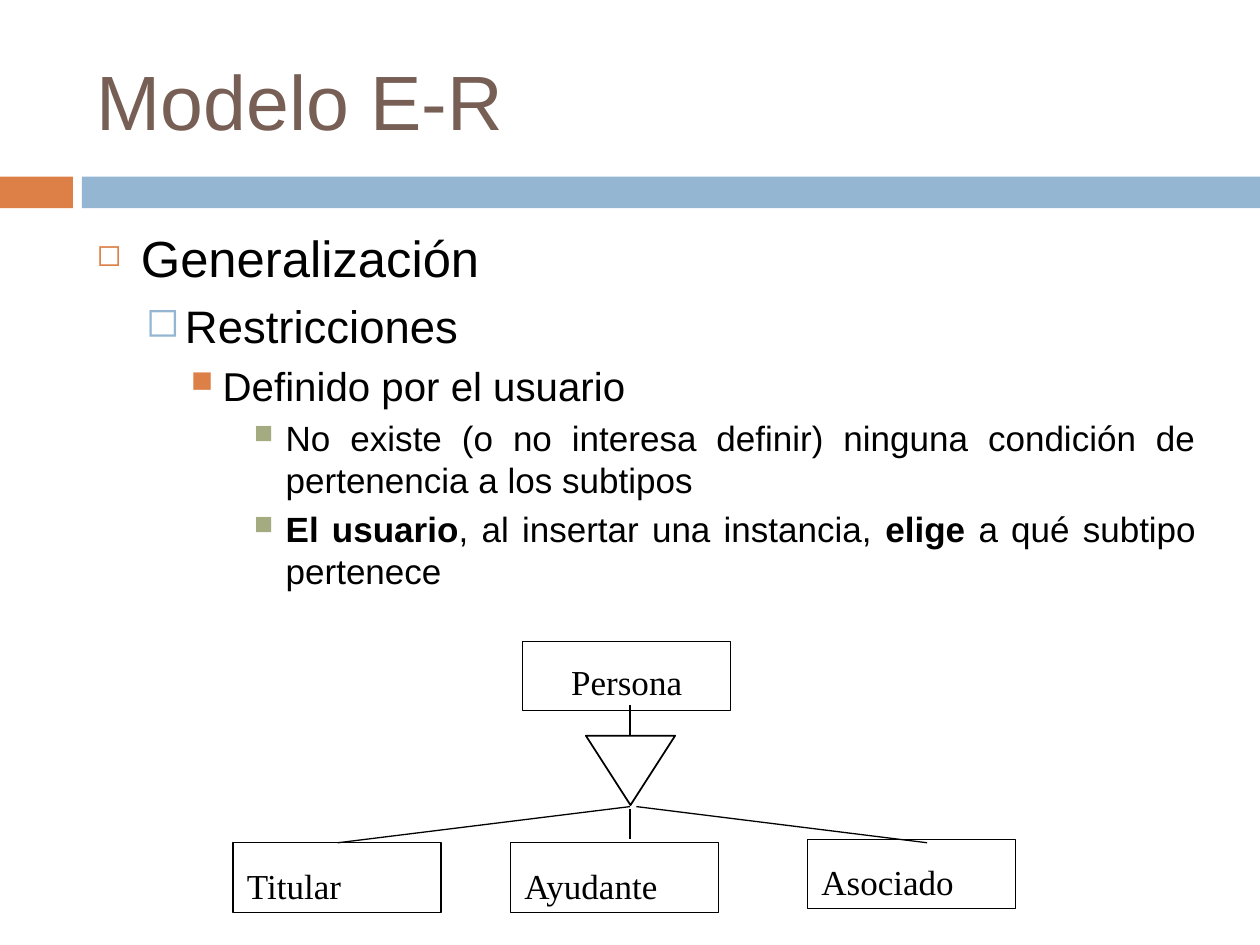
from lxml import etree
from pptx import Presentation
from pptx import util as u
from pptx.dml.color import RGBColor
from pptx.enum import shapes, text
from pptx.oxml.ns import qn

Cm, Pt = u.Cm, u.Pt
COLORS = {"title": "775F55", "orange": "DD8047", "blue": "94B6D2",
          "green": "A5AB81", "black": "000000"}

# Content
TITLE = "Modelo E-R"
# level: size, space before, left margin, hanging indent, bullet, colour, bullet %
LEVELS = [
    (29, 0, 0.89, 0.89, "◻", "orange", 60),
    (26, 5.5, 1.78, 0.79, "◻", "blue", 90),
    (23, 5, 2.54, 0.64, "■", "orange", 75),
    (20, 4, 3.81, 0.64, "■", "green", 75),
]
# level, runs as (text, bold)
OUTLINE = [
    (0, [("Generalización", False)]),
    (1, [("Restricciones", False)]),
    (2, [("Definido por el usuario", False)]),
    (3, [("No existe (o no interesa definir) ninguna condición de "
          "pertenencia a los subtipos", False)]),
    (3, [("El usuario", True), (", al insertar una instancia, ", False),
         ("elige ", True), ("a qué subtipo pertenece", False)]),
]
BARS = [(0, 1.47, "orange"), (1.65, 23.75, "blue")]  # left, width, colour
ENTITY_W, ENTITY_H = 4.19, 1.4
# name, left, top, label offset, label width, alignment
ENTITIES = [
    ("Persona", 10.54, 12.93, 0.23, ENTITY_W, text.PP_ALIGN.CENTER),
    ("Titular", 4.7, 16.99, 0.28, 4.42, text.PP_ALIGN.LEFT),
    ("Ayudante", 10.29, 16.99, 0.28, 4.42, text.PP_ALIGN.LEFT),
    ("Asociado", 16.28, 16.92, 0.28, 4.42, text.PP_ALIGN.LEFT),
]
AXIS = 12.7
LINKS = [
    (AXIS, 16.26, 6.81, 16.99),
    (12.83, 16.26, 18.69, 16.99),
    (AXIS, 14.22, AXIS, 14.83),
    (AXIS, 16.31, AXIS, 16.92),
]

prs = Presentation()
prs.slide_width, prs.slide_height = Cm(25.4), Cm(19.05)
slide = prs.slides.add_slide(prs.slide_layouts[6])


def rgb(name):
    return RGBColor.from_string(COLORS[name])


def add_box(kind, left, top, width, height, fill=None, line=None):
    box = slide.shapes.add_shape(kind, Cm(left), Cm(top), Cm(width), Cm(height))
    box.shadow.inherit = False
    if fill:
        box.fill.solid()
        box.fill.fore_color.rgb = rgb(fill)
    else:
        box.fill.background()
    if line:
        box.line.color.rgb = rgb("black")
        box.line.width = Pt(line)
    else:
        box.line.fill.background()
    return box


def add_frame(left, top, width, height, inset_x=0.25, inset_y=0.13):
    frame = slide.shapes.add_textbox(Cm(left), Cm(top), Cm(width), Cm(height)).text_frame
    frame.word_wrap = True
    frame.margin_left = frame.margin_right = Cm(inset_x)
    frame.margin_top = frame.margin_bottom = Cm(inset_y)
    return frame


def style(run, size, font="Arial", color="black", bold=False):
    run.font.size, run.font.name, run.font.bold = Pt(size), font, bold
    run.font.color.rgb = rgb(color)


def set_bullet(paragraph, margin, hanging, char, color, percent):
    props = paragraph._p.get_or_add_pPr()
    props.set("marL", str(Cm(margin)))
    props.set("indent", str(-Cm(hanging)))
    bullet_color = etree.SubElement(props, qn("a:buClr"))
    etree.SubElement(bullet_color, qn("a:srgbClr"), val=COLORS[color])
    etree.SubElement(props, qn("a:buSzPct"), val=str(percent * 1000))
    etree.SubElement(props, qn("a:buChar"), char=char)


# Header bars and title
for left, width, color in BARS:
    add_box(shapes.MSO_SHAPE.RECTANGLE, left, 3.56, width, 0.64, fill=color)

title = add_frame(1.7, 0.64, 22.66, 2.74)
title.vertical_anchor = text.MSO_ANCHOR.MIDDLE
title.text = TITLE
style(title.paragraphs[0].runs[0], 44, color="title")

# Outline
outline = add_frame(1.7, 4.45, 22.66, 12.5)
for i, (level, parts) in enumerate(OUTLINE):
    size, before, *bullet = LEVELS[level]
    item = outline.add_paragraph() if i else outline.paragraphs[0]
    item.level = level
    item.alignment = text.PP_ALIGN.JUSTIFY
    item.space_before = Pt(before)
    set_bullet(item, *bullet)
    for words, bold in parts:
        run = item.add_run()
        run.text = words
        style(run, size, bold=bold)

# Entities
for name, left, top, offset, label_width, align in ENTITIES:
    label = add_frame(left, top + offset, label_width, 1.14, 0.28, 0.15)
    label.text = name
    label.paragraphs[0].alignment = align
    style(label.paragraphs[0].runs[0], 20, "Times New Roman")
    add_box(shapes.MSO_SHAPE.FLOWCHART_PROCESS, left, top, ENTITY_W, ENTITY_H, line=0.75)

# Generalization triangle and links
triangle = add_box(shapes.MSO_SHAPE.ISOSCELES_TRIANGLE, 11.81, 14.83, 1.8, 1.4, line=1)
triangle.rotation = 180
for ends in LINKS:
    link = slide.shapes.add_connector(shapes.MSO_CONNECTOR.STRAIGHT, *map(Cm, ends))
    link.line.color.rgb = rgb("black")
    link.line.width = Pt(0.75)
    etree.SubElement(link._element.spPr, qn("a:effectLst"))

prs.save("out.pptx")
